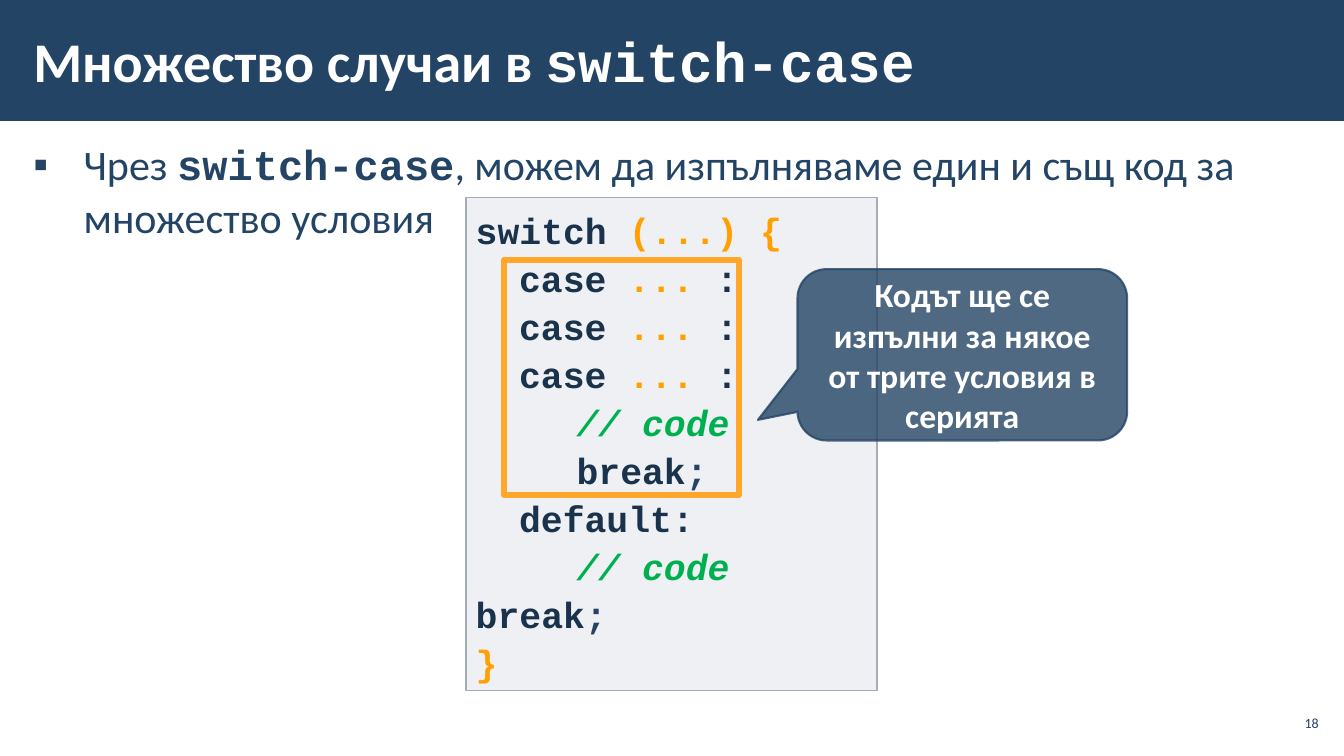
"""Build the slide on several cases sharing one code block in switch-case."""
from dataclasses import dataclass
from typing import Optional

from lxml.etree import SubElement
from pptx import Presentation
from pptx.dml.color import RGBColor
from pptx.enum.shapes import MSO_SHAPE
from pptx.enum.text import MSO_ANCHOR, PP_ALIGN
from pptx.oxml.ns import qn
from pptx.util import Inches, Pt

WIDE, HIGH = 13.33, 7.5
SANS, MONO = "Calibri", "Courier New"
HEX = {"navy": "234465", "white": "FFFFFF", "dark": "1A334C", "gold": "FFA000",
       "green": "00B050", "pale": "C2C7D2", "edge": "A3ABBC", "frame": "FFA72A"}


@dataclass
class Box:
    """Place in inches on the slide."""
    left: float
    top: float
    width: float
    height: float


@dataclass
class Bit:
    """Run of text with its look."""
    text: str
    tint: str
    slant: bool = False
    face: Optional[str] = None
    bold: Optional[bool] = None


@dataclass
class Line:
    """Line of code with its indent in inches."""
    dent: float
    bits: list[Bit]


@dataclass
class Panel:
    """Shape with its fill and outline."""
    kind: MSO_SHAPE
    box: Box
    fill: Optional[str] = None
    edge: Optional[str] = None
    weight: float = 0
    fade: int = 100
    blur: int = 100


def tone(name: str) -> RGBColor:
    """Look up a colour."""
    return RGBColor.from_string(HEX[name])


def place(shape, box: Box) -> None:
    """Move a shape into its box."""
    shape.left, shape.top = Inches(box.left), Inches(box.top)
    shape.width, shape.height = Inches(box.width), Inches(box.height)


def fade(node, share: int) -> None:
    """Make a solid colour see-through."""
    color = node.find(qn("a:solidFill"))[0]
    SubElement(color, qn("a:alpha")).set("val", str(share * 1000))


def panel(slide, item: Panel):
    """Draw a shape."""
    shape = slide.shapes.add_shape(item.kind, 0, 0, 0, 0)
    place(shape, item.box)
    shape.shadow.inherit = False
    if item.fill:
        shape.fill.solid()
        shape.fill.fore_color.rgb = tone(item.fill)
        if item.fade < 100:
            fade(shape._element.spPr, item.fade)
    else:
        shape.fill.background()
    if item.edge:
        shape.line.color.rgb = tone(item.edge)
        shape.line.width = Pt(item.weight)
        if item.blur < 100:
            fade(shape.line._ln, item.blur)
    else:
        shape.line.fill.background()
    return shape


def frame(shape, anchor: MSO_ANCHOR, side: float = 0.1, edge: float = 0.05):
    """Set wrap, anchor and insets, and give back the text frame."""
    text = shape.text_frame
    text.word_wrap, text.vertical_anchor = True, anchor
    text.margin_left = text.margin_right = Inches(side)
    text.margin_top = text.margin_bottom = Inches(edge)
    return text


def style(para, face: str, size: float, tint: str, bold: bool, align=PP_ALIGN.LEFT) -> None:
    """Set the font and alignment of a paragraph."""
    para.font.name, para.font.size, para.font.bold = face, Pt(size), bold
    para.font.color.rgb = tone(tint)
    para.alignment = align


def write(para, bits: list[Bit]) -> None:
    """Add runs, with a line break at each newline."""
    for bit in bits:
        for spot, part in enumerate(bit.text.split("\n")):
            if spot:
                para.add_line_break()
            if not part:
                continue
            run = para.add_run()
            run.text = part
            run.font.color.rgb = tone(bit.tint)
            if bit.slant:
                run.font.italic = True
            if bit.face:
                run.font.name = bit.face
            if bit.bold is not None:
                run.font.bold = bit.bold


def dent(para, left: float, first: float):
    """Set the left margin and first-line indent."""
    props = para._p.get_or_add_pPr()
    props.set("marL", str(Inches(left)))
    props.set("indent", str(Inches(first)))
    return props


def head(slide) -> None:
    """Fill the title on its band."""
    band = panel(slide, Panel(MSO_SHAPE.RECTANGLE, Box(0, 0, WIDE, 0.16 * HIGH), "navy"))
    title = slide.shapes.title
    band._element.getparent().insert(2, band._element)
    place(title, Box(0.21, 0.11, 10.39, 0.97))
    para = frame(title, MSO_ANCHOR.MIDDLE, 0.12, 0.04).paragraphs[0]
    style(para, SANS, 40, "white", True)
    write(para, [Bit("Множество случаи в ", "white"), Bit("switch-case", "white", face=MONO)])


def body(slide) -> None:
    """Fill the bullet."""
    holder = slide.placeholders[1]
    place(holder, Box(0.21, 1.31, 12.92, 5.69))
    para = frame(holder, MSO_ANCHOR.TOP, 0.12, 0.04).paragraphs[0]
    style(para, SANS, 30, "navy", False)
    para.line_spacing = 1.05
    para.space_before = para.space_after = Pt(6)
    props = dent(para, 0.5, -0.5)
    mark = props.makeelement(qn("a:buChar"), {"char": "▪"})
    props.find(qn("a:defRPr")).addprevious(mark)
    write(para, [Bit("Чрез ", "navy"), Bit("switch-case", "navy", face=MONO, bold=True),
                 Bit(", можем да изпълняваме един и същ код за \nмножество условия", "navy")])


def code(slide) -> None:
    """Draw the code listing."""
    near, far = 0.43, 1.0
    case = Line(near, [Bit("case ", "dark"), Bit("... ", "gold"), Bit(":", "dark")])
    note, stop, semi = Bit("// code", "green", True), Bit("break", "dark"), Bit(";", "navy")
    lines = [Line(0, [Bit("switch ", "dark"), Bit("(...) {", "gold")]),
             case, case, case,
             Line(far, [note]), Line(far, [stop, semi]),
             Line(near, [Bit("default:", "dark")]),
             Line(far, [note, Bit("\n", "dark"), stop, semi]),
             Line(0, [Bit("}", "gold")])]
    shape = panel(slide, Panel(MSO_SHAPE.RECTANGLE, Box(4.62, 1.96, 4.08, 4.89),
                               "pale", "edge", 1, fade=25))
    text = frame(shape, MSO_ANCHOR.MIDDLE)
    for spot, line in enumerate(lines):
        para = text.add_paragraph() if spot else text.paragraphs[0]
        style(para, MONO, 26, "dark", True)
        para.line_spacing = 1.1
        dent(para, 0, line.dent)
        write(para, line.bits)


def label(shape, words: str, size: float, tint: str, bold: bool, align, inset: float) -> None:
    """Put one plain paragraph in a shape."""
    para = frame(shape, MSO_ANCHOR.MIDDLE, max(inset, 0.04), 0.04).paragraphs[0]
    para.text = words
    style(para, SANS, size, tint, bold, align)


def main() -> None:
    """Build and save the slide."""
    deck = Presentation()
    deck.slide_width, deck.slide_height = Inches(WIDE), Inches(HIGH)
    slide = deck.slides.add_slide(deck.slide_layouts[1])
    head(slide)
    body(slide)
    page = slide.shapes.add_textbox(0, 0, 0, 0)
    place(page, Box(12.65, 7, 0.47, 0.34))
    label(page, "18", 10, "navy", False, PP_ALIGN.RIGHT, 0.04)
    code(slide)
    panel(slide, Panel(MSO_SHAPE.RECTANGLE, Box(5, 2.58, 2.33, 2.33), None, "frame", 4.5))
    call = panel(slide, Panel(MSO_SHAPE.ROUNDED_RECTANGULAR_CALLOUT, Box(7.91, 2.67, 3.27, 1.7),
                              "navy", "navy", 1.5, fade=80, blur=80))
    for spot, value in enumerate((-0.62, 0.38, 0.17)):
        call.adjustments[spot] = value
    label(call, "Кодът ще се изпълни за някое от трите условия в серията",
          24, "white", True, PP_ALIGN.CENTER, 0.1)
    deck.save("out.pptx")


if __name__ == "__main__":
    main()
